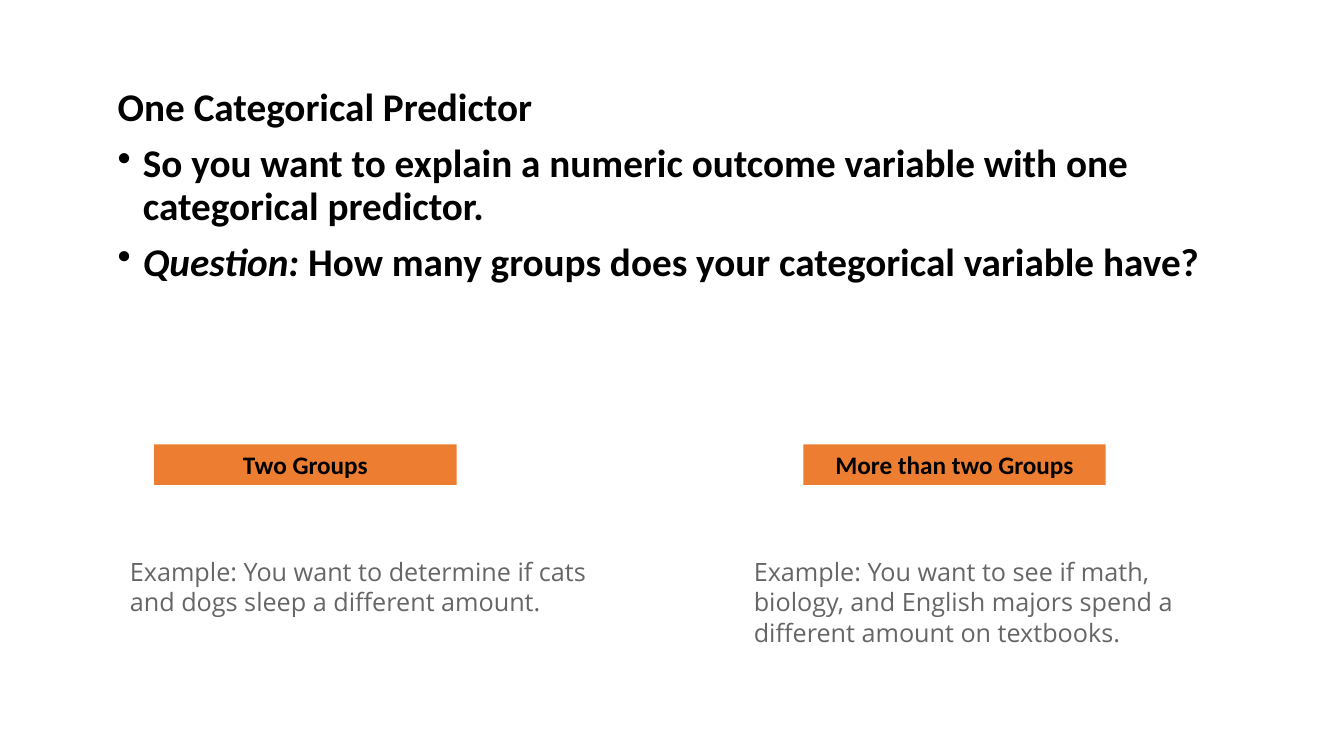
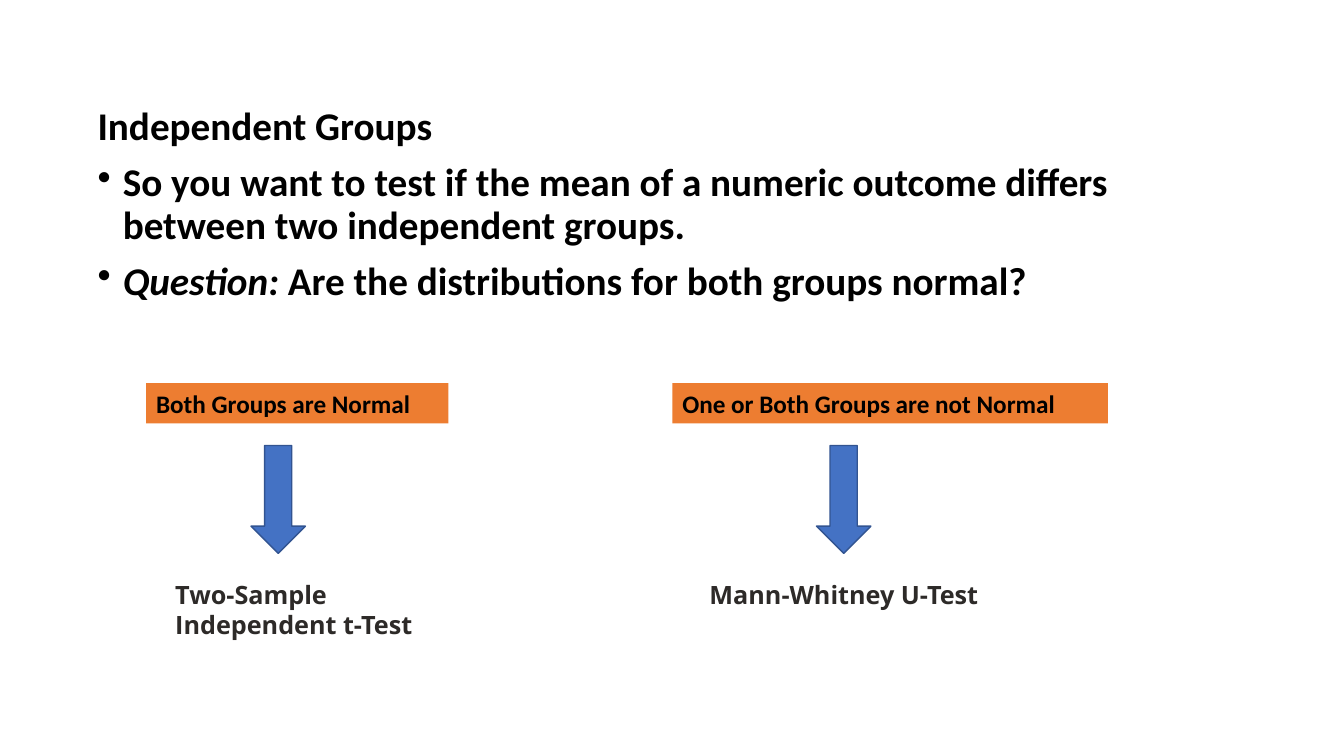
import pptx
import pptx.util
import pptx.dml.color
import pptx.enum.shapes
import pptx.enum.text
import pptx.oxml.ns
import lxml.etree

PX = 9144
HUES = {"band": "ED7D31", "arrow": "4472C4", "edge": "325491",
        "ink": "000000", "grey": "666666", "dark": "2D2A28"}
FONTS = {
    "head": {"name": "Calibri", "size": pptx.util.Pt(28), "bold": True},
    "band": {"name": "Calibri", "size": pptx.util.Pt(18), "bold": True},
    "note": {"name": "Open Sans", "size": pptx.util.Pt(18), "bold": False},
    "test": {"name": "Open Sans", "size": pptx.util.Pt(18), "bold": True},
}
INKS = {"head": "ink", "band": "ink", "note": "grey", "test": "dark"}
FRAME = {"word_wrap": True, "vertical_anchor": pptx.enum.text.MSO_ANCHOR.TOP}
SPACE = {"line_spacing": 0.9, "space_before": pptx.util.Pt(10)}
ALIGN = pptx.enum.text.PP_ALIGN
SHAPES = pptx.enum.shapes.MSO_SHAPE


def hue(name):
    """Return the named colour."""
    return pptx.dml.color.RGBColor.from_string(HUES[name])


def put(item, style):
    """Set each attribute in a style dict."""
    for key, value in style.items():
        setattr(item, key, value)


def emu(box):
    """Turn a px box into EMU lengths."""
    return [n * PX for n in box]


def write(para, text, kind, slant=False):
    """Add a run in one of the shared text styles."""
    run = para.add_run()
    run.text = text
    put(run.font, {**FONTS[kind], "italic": slant})
    run.font.color.rgb = hue(INKS[kind])


def bullet(para):
    """Give a paragraph a hanging bullet."""
    props = para._p.get_or_add_pPr()
    props.set("marL", str(25 * PX))
    props.set("indent", str(-25 * PX))
    mark = lxml.etree.SubElement(props, pptx.oxml.ns.qn("a:buChar"))
    mark.set("char", "•")


def block(slide, shape, box, fill, edge=None):
    """Draw a filled preset shape."""
    item = slide.shapes.add_shape(shape, *emu(box))
    item.shadow.inherit = False
    item.fill.solid()
    item.fill.fore_color.rgb = hue(fill)
    if edge:
        item.line.color.rgb = hue(edge)
        item.line.width = pptx.util.Pt(1)
    else:
        item.line.fill.background()
    return item


def label(item, text, kind, align=ALIGN.LEFT):
    """Fill a shape with one paragraph of text."""
    put(item.text_frame, FRAME)
    para = item.text_frame.paragraphs[0]
    para.alignment = align
    write(para, text, kind)


def intro(slide, box, title, aim, ask):
    """Place the title, the aim and the question in a box."""
    frame = slide.shapes.add_textbox(*emu(box)).text_frame
    put(frame, FRAME)
    paras = [frame.paragraphs[0], frame.add_paragraph(), frame.add_paragraph()]
    for para in paras:
        put(para, SPACE)
    for para in paras[1:]:
        bullet(para)
    write(paras[0], title, "head")
    write(paras[1], aim, "head")
    write(paras[2], "Question:", "head", True)
    write(paras[2], " " + ask, "head")


def branch(slide, box, name, align, note, kind, spot, shaft=None):
    """Place a band, its note and an optional arrow from the band box."""
    left, top, _, high = box
    label(block(slide, SHAPES.RECTANGLE, box, "band"), name, "band", align)
    right, down, wide, tall = spot
    area = left + right, top + down, wide, tall
    label(slide.shapes.add_textbox(*emu(area)), note, kind)
    if shaft is not None:
        area = left + shaft, top + high + 22, 54, 107
        block(slide, SHAPES.DOWN_ARROW, area, "arrow", "edge")


def groups(slide):
    """Build the slide on the number of groups."""
    intro(slide, (107, 82, 1150, 476), "One Categorical Predictor",
          "So you want to explain a numeric outcome variable with one "
          "categorical predictor.",
          "How many groups does your categorical variable have?")
    branch(slide, (153, 441, 300, 40), "Two Groups", ALIGN.CENTER,
           "Example: You want to determine if cats and dogs sleep a "
           "different amount.", "note", (-34, 106, 473, 71))
    branch(slide, (797, 441, 300, 40), "More than two Groups", ALIGN.CENTER,
           "Example: You want to see if math, biology, and English majors "
           "spend a different amount on textbooks.", "note",
           (-59, 106, 493, 101))


def tests(slide):
    """Build the slide on the choice of test."""
    intro(slide, (87, 101, 1150, 251), "Independent Groups",
          "So you want to test if the mean of a numeric outcome differs "
          "between two independent groups.",
          "Are the distributions for both groups normal?")
    branch(slide, (145, 380, 300, 40), "Both Groups are Normal", ALIGN.LEFT,
           "Two-Sample Independent t-Test", "test", (19, 190, 300, 71), 104)
    branch(slide, (667, 380, 432, 40), "One or Both Groups are not Normal",
           ALIGN.LEFT, "Mann-Whitney U-Test", "test", (27, 190, 300, 40), 143)


def main():
    """Build and save the deck."""
    deck = pptx.Presentation()
    put(deck, {"slide_width": 12192000, "slide_height": 750 * PX})
    for build in (groups, tests):
        build(deck.slides.add_slide(deck.slide_layouts[6]))
    deck.save("out.pptx")


if __name__ == "__main__":
    main()
